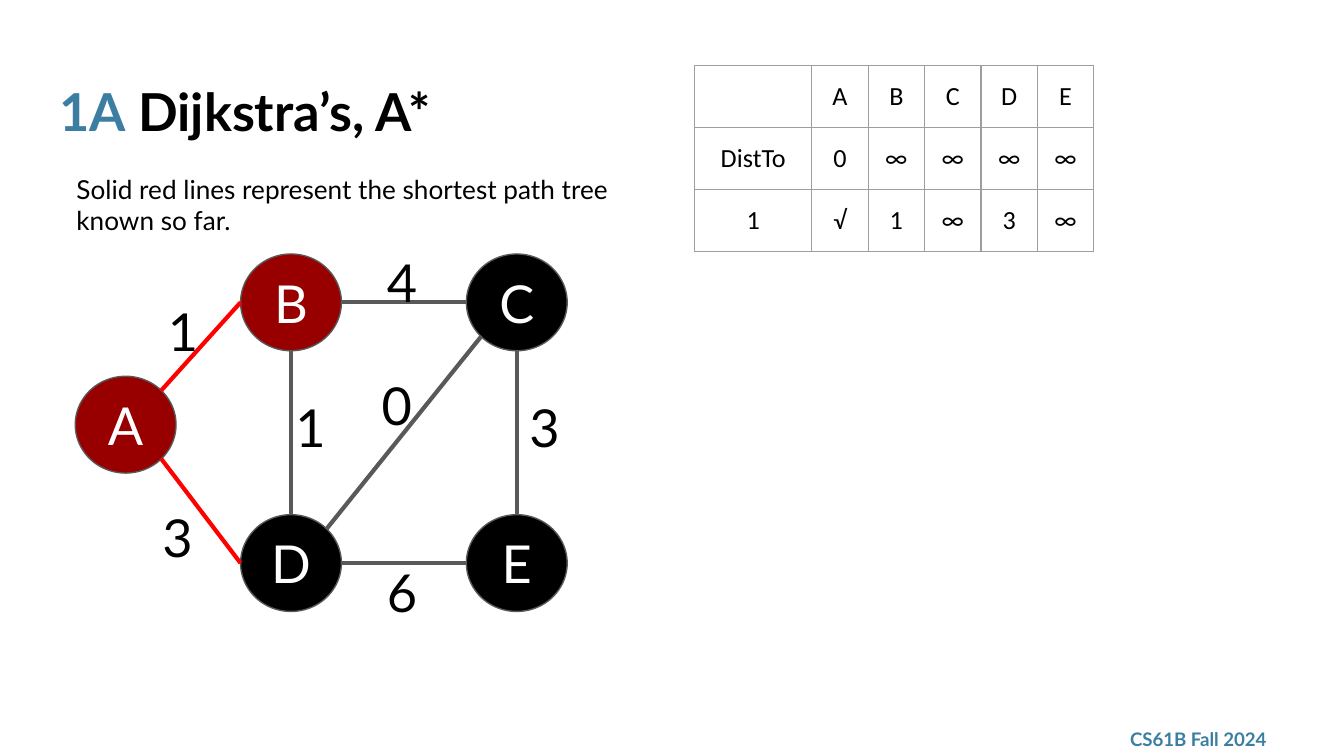
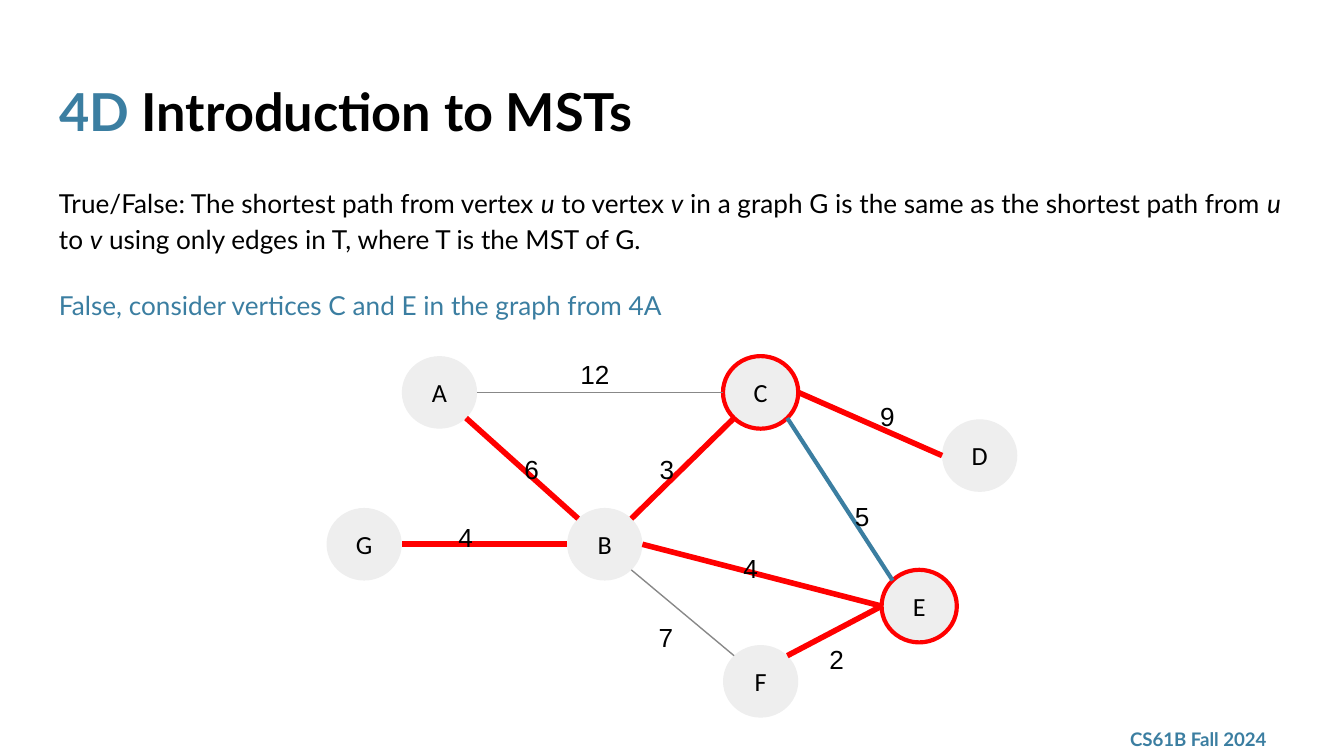
import lxml.etree
import pptx
import pptx.dml.color
import pptx.enum.shapes
import pptx.enum.text
import pptx.oxml
import pptx.oxml.ns
import pptx.util
from pptx.util import Inches

# Shared look
BLUE, BLACK, WHITE = "3B7EA1", "000000", "FFFFFF"
RED, DARK_RED, GRAPHITE = "FF0000", "980000", "595959"
GRAY, PALE, BORDER = "888888", "EEEEEE", "9E9E9E"
LATO, CALIBRI, ARIAL = "Lato", "Calibri", "Arial"
MIDDLE = pptx.enum.text.MSO_ANCHOR.MIDDLE
CENTER = pptx.enum.text.PP_ALIGN.CENTER
INSET = Inches(0.1)

# Footer and titles
FOOTER = ("CS61B Fall 2024", (8.31, 5.37, 1.35, 0.26))
TITLE_BOX = (0.34, 0.49, 9.32, 0.63)
DIJKSTRA_TITLE = ("1A", " Dijkstra’s, A*")
MST_TITLE = ("4D", " Introduction to MSTs")

# Slide 1 content
CAPTION = "Solid red lines represent the shortest path tree known so far."
DISTANCES = [
    ["", "A", "B", "C", "D", "E"],
    ["DistTo", "0", "∞", "∞", "∞", "∞"],
    ["1", "√", "1", "∞", "3", "∞"],
]

# Nodes: name -> (left, top, fill, outline)
# Edges: (start, side, end, side, line, weight, label box)
VISITED, UNVISITED = (DARK_RED, (GRAPHITE, 0.75)), (BLACK, (GRAPHITE, 0.75))
TREE, OPEN = (RED, 2.25), (GRAPHITE, 2.25)
DIJKSTRA_GRAPH = {
    "node_size": (0.75, 0.72),
    "node_font": (28, LATO, WHITE),
    "label_font": (28, LATO, BLACK),
    "label_grows": False,
    "nodes": {
        "A": (0.56, 2.8, *VISITED),
        "B": (1.79, 1.89, *VISITED),
        "D": (1.79, 3.83, *UNVISITED),
        "C": (3.47, 1.89, *UNVISITED),
        "E": (3.47, 3.83, *UNVISITED),
    },
    "edges": [
        ("A", "NE", "B", "W", TREE, "1", (1.15, 2.13, 0.45)),
        ("A", "SE", "D", "W", TREE, "3", (1.11, 3.66, 0.45)),
        ("D", "N", "B", "S", OPEN, "1", (2.1, 2.84, 0.45)),
        ("B", "E", "C", "W", OPEN, "4", (2.78, 1.76, 0.45)),
        ("D", "NE", "C", "SW", OPEN, "0", (2.74, 2.68, 0.45)),
        ("D", "E", "E", "W", OPEN, "6", (2.78, 4.07, 0.45)),
        ("E", "N", "C", "S", OPEN, "3", (3.84, 2.84, 0.45)),
    ],
}

# Slide 2 content, with the vertex names in italics
QUESTION = [
    ("True/False: The shortest path from vertex ", False),
    ("u", True),
    (" to vertex ", False),
    ("v", True),
    (" in a graph G is the same as the shortest path from ", False),
    ("u", True),
    (" to ", False),
    ("v", True),
    (" using only edges in T, where T is the MST of G.", False),
]
ANSWER = "False, consider vertices C and E in the graph from 4A"

PLAIN, RINGED = (PALE, None), (PALE, (RED, 2.25))
MST, UNUSED, SHORTCUT = (RED, 3), (GRAY, 0.75), (BLUE, 2.25)
MST_GRAPH = {
    "node_size": (0.56, 0.54),
    "node_font": (14, CALIBRI, BLACK),
    "label_font": (14, ARIAL, BLACK),
    "label_grows": True,
    "nodes": {
        "A": (2.99, 2.65, *PLAIN),
        "B": (4.22, 3.78, *PLAIN),
        "C": (5.38, 2.65, *RINGED),
        "D": (7.01, 3.12, *PLAIN),
        "E": (6.56, 4.24, *RINGED),
        "F": (5.38, 4.8, *PLAIN),
        "G": (2.43, 3.78, *PLAIN),
    },
    "edges": [
        ("A", "E", "C", "W", UNUSED, "12", (4.22, 2.57, 0.56)),
        ("A", "SE", "B", "NW", MST, "6", (3.86, 3.27, 0.14)),
        ("B", "W", "G", "E", MST, "4", (3.37, 3.78, 0.14)),
        ("B", "SE", "F", "NW", UNUSED, "7", (4.86, 4.52, 0.14)),
        ("F", "NE", "E", "W", MST, "2", (6.13, 4.69, 0.14)),
        ("B", "E", "E", "W", MST, "4", (5.49, 4.01, 0.14)),
        ("B", "NE", "C", "SW", MST, "3", (4.81, 3.27, 0.23)),
        ("C", "SE", "E", "NW", SHORTCUT, "5", (6.32, 3.62, 0.14)),
        ("C", "E", "D", "W", MST, "9", (6.45, 2.88, 0.27)),
    ],
}


def color(value):
    return pptx.dml.color.RGBColor.from_string(value)


def style(run, size, face, shade, bold=False, italic=False):
    run.font.size = pptx.util.Pt(size)
    run.font.name = face
    run.font.color.rgb = color(shade)
    run.font.bold = bold
    run.font.italic = italic


def set_line(line, shade, width):
    line.color.rgb = color(shade)
    line.width = pptx.util.Pt(width)


def set_insets(holder):
    holder.margin_left = holder.margin_right = INSET
    holder.margin_top = holder.margin_bottom = INSET


def add_runs(paragraph, pieces):
    for piece, *look in pieces:
        run = paragraph.add_run()
        run.text = piece
        style(run, *look)


def add_frame(slide, box):
    frame = slide.shapes.add_textbox(*map(Inches, box)).text_frame
    set_insets(frame)
    frame.word_wrap = True
    return frame


def add_text(slide, text, box, font, bold=False):
    frame = add_frame(slide, box)
    frame.text = text
    style(frame.paragraphs[0].runs[0], *font, bold)
    return frame


def add_slide(deck, layout, heading):
    slide = deck.slides.add_slide(layout)
    title = slide.shapes.title
    title.left, title.top, title.width, title.height = map(Inches, TITLE_BOX)
    frame = title.text_frame
    set_insets(frame)
    frame.word_wrap = True
    frame.auto_size = pptx.enum.text.MSO_AUTO_SIZE.NONE
    frame.vertical_anchor = pptx.enum.text.MSO_ANCHOR.TOP
    frame.paragraphs[0].alignment = pptx.enum.text.PP_ALIGN.LEFT
    number, topic = heading
    add_runs(frame.paragraphs[0],
             [(number, 28, LATO, BLUE, True), (topic, 28, LATO, BLACK, True)])
    return slide


def add_footer(slide, layout):
    text, box = FOOTER
    frame = add_text(slide, text, box, (10, LATO, BLUE), bold=True)
    frame.vertical_anchor = MIDDLE
    # The footer lives on the layout, so every slide shows it
    layout.shapes.element.append(slide.shapes[-1].element)


def node_point(graph, name, side):
    """Point on a node's rim in a compass direction."""
    left, top = graph["nodes"][name][:2]
    width, height = graph["node_size"]
    across = ("E" in side) - ("W" in side)
    down = ("S" in side) - ("N" in side)
    reach = 0.5 if len(side) == 1 else 0.5 ** 1.5
    return (Inches(left + width * (0.5 + across * reach)),
            Inches(top + height * (0.5 + down * reach)))


def draw_graph(slide, graph):
    # Nodes
    for name, (left, top, fill, outline) in graph["nodes"].items():
        node = slide.shapes.add_shape(
            pptx.enum.shapes.MSO_SHAPE.OVAL,
            *map(Inches, (left, top, *graph["node_size"])))
        node.shadow.inherit = False
        node.fill.solid()
        node.fill.fore_color.rgb = color(fill)
        if outline:
            set_line(node.line, *outline)
        else:
            node.line.fill.background()
        frame = node.text_frame
        set_insets(frame)
        frame.word_wrap = True
        frame.vertical_anchor = MIDDLE
        frame.text = name
        frame.paragraphs[0].alignment = CENTER
        style(frame.paragraphs[0].runs[0], *graph["node_font"])

    # Edges
    for start, start_side, end, end_side, line, *_ in graph["edges"]:
        edge = slide.shapes.add_connector(
            pptx.enum.shapes.MSO_CONNECTOR.STRAIGHT,
            *node_point(graph, start, start_side),
            *node_point(graph, end, end_side))
        set_line(edge.line, *line)
        lxml.etree.SubElement(edge.element.spPr,
                              pptx.oxml.ns.qn("a:effectLst"))

    # Weights
    for *_, weight, place in graph["edges"]:
        frame = add_text(slide, weight, (*place, 0.44), graph["label_font"])
        if graph["label_grows"]:
            frame.auto_size = pptx.enum.text.MSO_AUTO_SIZE.SHAPE_TO_FIT_TEXT


def add_borders(cell):
    properties = cell._tc.get_or_add_tcPr()
    for side in "LRTB":
        properties.append(pptx.oxml.parse_xml(
            f'<a:ln{side} {pptx.oxml.ns.nsdecls("a")} w="9525"><a:solidFill>'
            f'<a:srgbClr val="{BORDER}"/></a:solidFill></a:ln{side}>'))


def fill_cell(cell, value):
    set_insets(cell)
    cell.vertical_anchor = MIDDLE
    paragraph = cell.text_frame.paragraphs[0]
    paragraph.alignment = CENTER
    if value:
        paragraph.text = value
        style(paragraph.runs[0], 14, CALIBRI, BLACK)
    else:
        # Keeps the empty cell from stretching its row
        lxml.etree.SubElement(paragraph._p, pptx.oxml.ns.qn("a:endParaRPr"),
                              sz="1400")


def add_distances(slide):
    widths = [0.87] + [0.42] * 5
    row_height = 0.46
    table = slide.shapes.add_table(
        len(DISTANCES), len(widths), Inches(5.17), Inches(0.49),
        Inches(sum(widths)), Inches(row_height * len(DISTANCES))).table
    table.first_row = table.horz_banding = False
    for column, width in zip(table.columns, widths):
        column.width = Inches(width)
    for row, values in zip(table.rows, DISTANCES):
        row.height = Inches(row_height)
        for index, (cell, value) in enumerate(zip(row.cells, values)):
            add_borders(cell)
            if index == 1:
                cell.fill.solid()
                cell.fill.fore_color.rgb = color(WHITE)
            else:
                cell.fill.background()
            fill_cell(cell, value)


def add_question(slide):
    frame = add_frame(slide, (0.34, 1.26, 9.32, 3.74))
    question = frame.paragraphs[0]
    add_runs(question, [(piece, 14, LATO, BLACK, False, italic)
                        for piece, italic in QUESTION])
    answer = frame.add_paragraph()
    add_runs(answer, [(ANSWER, 14, LATO, BLUE)])
    question.line_spacing = answer.line_spacing = 1.15
    answer.space_before = answer.space_after = pptx.util.Pt(16)


def main():
    deck = pptx.Presentation()
    deck.slide_width = Inches(10)
    deck.slide_height = Inches(10 * 9 / 16)
    layout = deck.slide_layouts.get_by_name("Title Only")

    # Dijkstra's
    dijkstra = add_slide(deck, layout, DIJKSTRA_TITLE)
    add_footer(dijkstra, layout)
    add_distances(dijkstra)
    draw_graph(dijkstra, DIJKSTRA_GRAPH)
    add_text(dijkstra, CAPTION, (0.47, 1.19, 4.38, 0.57), (14, LATO, BLACK))

    # Minimum spanning trees
    spanning = add_slide(deck, layout, MST_TITLE)
    add_question(spanning)
    draw_graph(spanning, MST_GRAPH)

    deck.save("out.pptx")


if __name__ == "__main__":
    main()
